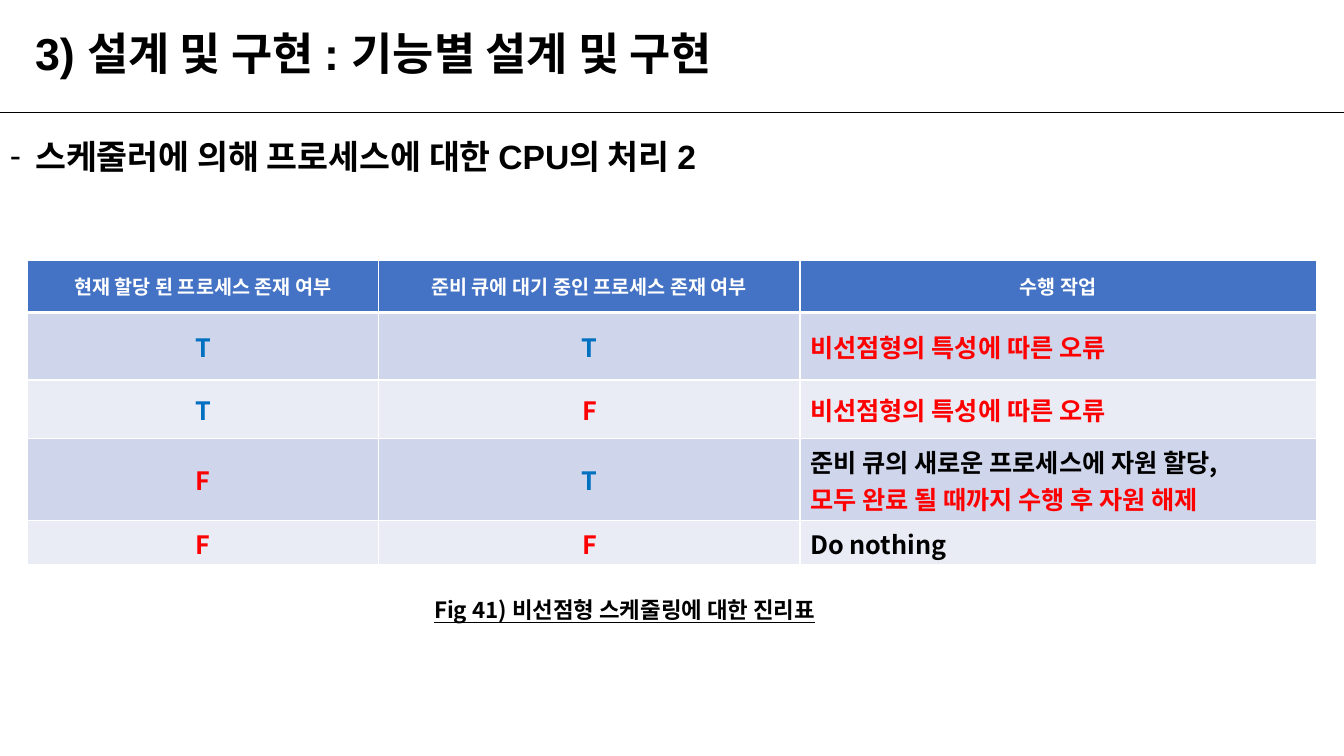
from lxml import etree
from pptx import Presentation
from pptx.dml.color import RGBColor
from pptx.enum import shapes, text
from pptx.oxml import ns
from pptx.util import Pt

BLACK = RGBColor(0, 0, 0)
WHITE = RGBColor(255, 255, 255)
RED = RGBColor(255, 0, 0)
BLUE = RGBColor(0x00, 0x70, 0xC0)
HEADER = RGBColor(0x44, 0x72, 0xC4)
BANDS = (RGBColor(0xCF, 0xD5, 0xEA), RGBColor(0xE9, 0xEB, 0xF5))
LATIN = "Arial"
KOREAN = "Noto Sans CJK KR"
CENTER = text.PP_ALIGN.CENTER
LEFT = text.PP_ALIGN.LEFT

COLUMNS = (251, 301, 369)
ROWS = (37.5, 48.2, 41.8, 58.3, 31.7)
HEADINGS = ("현재 할당 된 프로세스 존재 여부", "준비 큐에 대기 중인 프로세스 존재 여부", "수행 작업")
ERROR = (("비선점형의 특성에 따른 오류", RED),)
ALLOCATE = (
    ("준비 큐의 새로운 프로세스에 자원 할당,", BLACK),
    ("모두 완료 될 때까지 수행 후 자원 해제", RED),
)
IDLE = (("Do nothing", BLACK),)
TRUTHS = (("T", "T", ERROR), ("T", "F", ERROR), ("F", "T", ALLOCATE), ("F", "F", IDLE))
TRUTH_COLORS = {"T": BLUE, "F": RED}


def add_span(para, words, size, color=BLACK, font=KOREAN):
    """Add one bold run with its Latin and East Asian fonts."""
    span = para.add_run()
    span.text = words
    span.font.size = Pt(size)
    span.font.bold = True
    span.font.name = font
    span.font.color.rgb = color
    east_asian = etree.Element(ns.qn("a:ea"), typeface=KOREAN)
    span.font._element.find(ns.qn("a:latin")).addnext(east_asian)
    return span


def add_box(page, left, top, width, height):
    """Add a wrapping text box and return its text frame."""
    box = page.shapes.add_textbox(Pt(left), Pt(top), Pt(width), Pt(height))
    box.text_frame.word_wrap = True
    return box.text_frame


def add_title(page, words):
    """Add the heading band at the top of the page."""
    frame = add_box(page, 0, 0, 960, 80)
    frame.vertical_anchor = text.MSO_ANCHOR.MIDDLE
    frame.margin_left = Pt(25)
    para = frame.paragraphs[0]
    para.line_spacing = 0.9
    add_span(para, words, 32, font=LATIN)


def add_rule(page, top):
    """Draw a thin line across the page."""
    rule = page.shapes.add_connector(
        shapes.MSO_CONNECTOR.STRAIGHT, Pt(0), Pt(top), Pt(960), Pt(top))
    rule.line.color.rgb = BLACK
    rule.line.width = Pt(0.5)
    etree.SubElement(rule._element.spPr, ns.qn("a:effectLst"))


def add_dash_item(page, words):
    """Add the body text with a dash bullet."""
    frame = add_box(page, 0, 80, 960, 460)
    frame.margin_top = Pt(20)
    para = frame.paragraphs[0]
    para.line_spacing = 0.9
    properties = para._p.get_or_add_pPr()
    properties.set("marL", str(Pt(18)))
    properties.set("indent", str(-Pt(18)))
    etree.SubElement(properties, ns.qn("a:buFont"), typeface=LATIN)
    etree.SubElement(properties, ns.qn("a:buChar"), char="-")
    add_span(para, words, 24, font=LATIN)


def add_borders(cell, bottom):
    """Give a cell white borders with the chosen bottom width."""
    properties = cell._tc.get_or_add_tcPr()
    for side, width in (("L", 1), ("R", 1), ("T", 1), ("B", bottom)):
        line = etree.SubElement(properties, ns.qn(f"a:ln{side}"), w=str(Pt(width)))
        fill = etree.SubElement(line, ns.qn("a:solidFill"))
        etree.SubElement(fill, ns.qn("a:srgbClr"), val=str(WHITE))


def fill_cell(cell, lines, size, align, color, bottom=1):
    """Write coloured lines into a cell and style it."""
    add_borders(cell, bottom)
    cell.fill.solid()
    cell.fill.fore_color.rgb = color
    cell.vertical_anchor = text.MSO_ANCHOR.MIDDLE
    frame = cell.text_frame
    for index, (words, ink) in enumerate(lines):
        para = frame.add_paragraph() if index else frame.paragraphs[0]
        para.alignment = align
        add_span(para, words, size, ink)


def add_truth_table(page):
    """Add the scheduling truth table."""
    table = page.shapes.add_table(
        len(ROWS), len(COLUMNS), Pt(19.5), Pt(185.8),
        Pt(sum(COLUMNS)), Pt(sum(ROWS))).table
    for column, width in zip(table.columns, COLUMNS):
        column.width = Pt(width)
    for row, height in zip(table.rows, ROWS):
        row.height = Pt(height)
    for index, heading in enumerate(HEADINGS):
        fill_cell(table.cell(0, index), ((heading, WHITE),), 14, CENTER, HEADER, 3)
    for number, (*flags, action) in enumerate(TRUTHS, 1):
        band = BANDS[(number - 1) % 2]
        for index, flag in enumerate(flags):
            lines = ((flag, TRUTH_COLORS[flag]),)
            fill_cell(table.cell(number, index), lines, 18, CENTER, band)
        fill_cell(table.cell(number, 2), action, 18, LEFT, band)


def add_caption(page, words):
    """Add the underlined caption below the table."""
    frame = add_box(page, 303, 422.6, 316, 26.6)
    add_span(frame.paragraphs[0], words, 16).font.underline = True


def main():
    """Build the slide and save it."""
    deck = Presentation()
    deck.slide_width, deck.slide_height = Pt(960), Pt(540)
    page = deck.slides.add_slide(deck.slide_layouts[6])
    add_title(page, "3) 설계 및 구현 : 기능별 설계 및 구현")
    add_rule(page, 80)
    add_dash_item(page, "스케줄러에 의해 프로세스에 대한 CPU의 처리 2")
    add_truth_table(page)
    add_caption(page, "Fig 41) 비선점형 스케줄링에 대한 진리표")
    deck.save("out.pptx")


if __name__ == "__main__":
    main()
